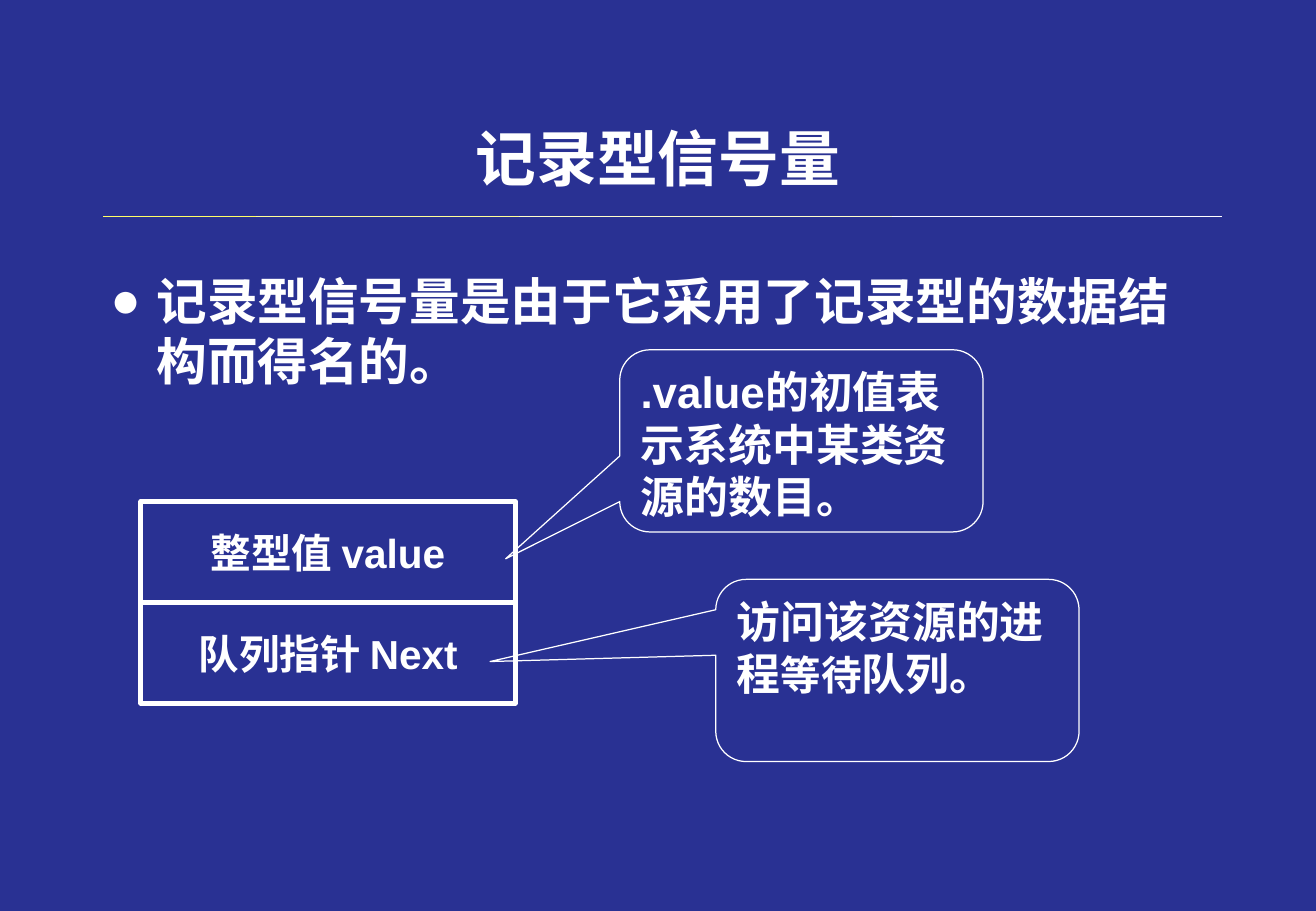
import pptx
import pptx.util
import pptx.dml.color
import pptx.enum.shapes
import pptx.enum.text
import pptx.oxml
import pptx.oxml.ns
from lxml import etree

Inches, Pt = pptx.util.Inches, pptx.util.Pt
Shape = pptx.enum.shapes.MSO_SHAPE
Align = pptx.enum.text.PP_ALIGN
Anchor = pptx.enum.text.MSO_ANCHOR
qn = pptx.oxml.ns.qn
COLORS = {key: pptx.dml.color.RGBColor.from_string(value) for key, value in {
    "back": "293193", "white": "FFFFFF", "cream": "FFFFCC",
    "pale": "FFFF99", "yellow": "FFFF66"}.items()}


def write(frame, runs, align=Align.LEFT, anchor=Anchor.TOP, wrap=True):
    """Fill the first paragraph with bold white (text, size) runs."""
    frame.word_wrap = wrap
    frame.auto_size = pptx.enum.text.MSO_AUTO_SIZE.NONE
    frame.vertical_anchor = anchor
    para = frame.paragraphs[0]
    para.alignment = align
    for text, size in runs:
        run = para.add_run()
        run.text = text
        run.font.name = "Arial"
        run.font.size = Pt(size)
        run.font.bold = True
        run.font.color.rgb = COLORS["white"]
    return para


def outline(kind, left, top, width, height, weight):
    """Add an unfilled shape with a white line."""
    shape = slide.shapes.add_shape(
        kind, Inches(left), Inches(top), Inches(width), Inches(height))
    shape.shadow.inherit = False
    shape.fill.background()
    shape.line.color.rgb = COLORS["white"]
    shape.line.width = Pt(weight)
    return shape


deck = pptx.Presentation()
deck.slide_width, deck.slide_height = Inches(10.83), Inches(7.5)
slide = deck.slides.add_slide(deck.slide_layouts[5])
slide.background.fill.solid()
slide.background.fill.fore_color.rgb = COLORS["back"]

# Rule under the title, fading from yellow to white
rule = [(0.85, 1.57, "yellow"), (1.21, 2.11, "yellow")]
rule += [(1.75 + 0.54 * i, 2.65 + 0.54 * i, "pale") for i in range(4)]
rule += [(4.1 + 1.08 * i, 5.18 + 1.08 * i, "cream" if i < 3 else "white")
         for i in range(5)]
rule += [(9.5, 10.06, "white")]
for start, end, color in reversed(rule):
    line = slide.shapes.add_connector(
        pptx.enum.shapes.MSO_CONNECTOR.STRAIGHT,
        Inches(start), Inches(1.78), Inches(end), Inches(1.78))
    line.line.color.rgb = COLORS[color]
    line.line.width = Pt(0.75)
    etree.SubElement(line._element.spPr, qn("a:effectLst"))

# Title
title = slide.shapes.title
title.left, title.top = Inches(0.81), Inches(0.67)
title.width, title.height = Inches(9.21), Inches(1.25)
write(title.text_frame, [("记录型信号量", 36)], Align.CENTER, Anchor.MIDDLE)

# Bulleted text
body = slide.shapes.add_textbox(
    Inches(0.81), Inches(2.17), Inches(9.21), Inches(4.92))
para = write(body.text_frame,
             [("记录型信号量是由于它采用了记录型的数据结构而得名的。", 30)])
para.space_before = Pt(6)
props = para._p.get_or_add_pPr()
props.set("marL", str(Inches(0.38)))
props.set("indent", str(-Inches(0.38)))
tint = etree.SubElement(props, qn("a:buClr"))
etree.SubElement(tint, qn("a:srgbClr"), val=str(COLORS["white"]))
etree.SubElement(props, qn("a:buFont"), typeface="Arial")
etree.SubElement(props, qn("a:buChar"), char="●")

# Record fields
for row, label in enumerate(["整型值 value", "队列指针 Next"]):
    field = outline(Shape.FLOWCHART_PROCESS, 1.16, 4.13 + 0.83 * row,
                    3.08, 0.83, 3)
    write(field.text_frame, [(label, 24)], Align.CENTER, Anchor.MIDDLE, False)

# Callouts pointing at the fields
notes = [
    (5.1, 2.88, (-0.814, 0.647), [(".value的初值表示系统中某类资源的数目。", 26)]),
    (5.89, 4.77, (-1.121, -0.049),
     [("访问该资源的进程", 26), ("等待", 24), ("队列。", 26)]),
]
for left, top, tip, runs in notes:
    note = outline(Shape.ROUNDED_RECTANGULAR_CALLOUT, left, top, 2.99, 1.5, 0.75)
    note.adjustments[0], note.adjustments[1] = tip
    note.adjustments[2] = 0.167
    write(note.text_frame, runs)

deck.save("out.pptx")
